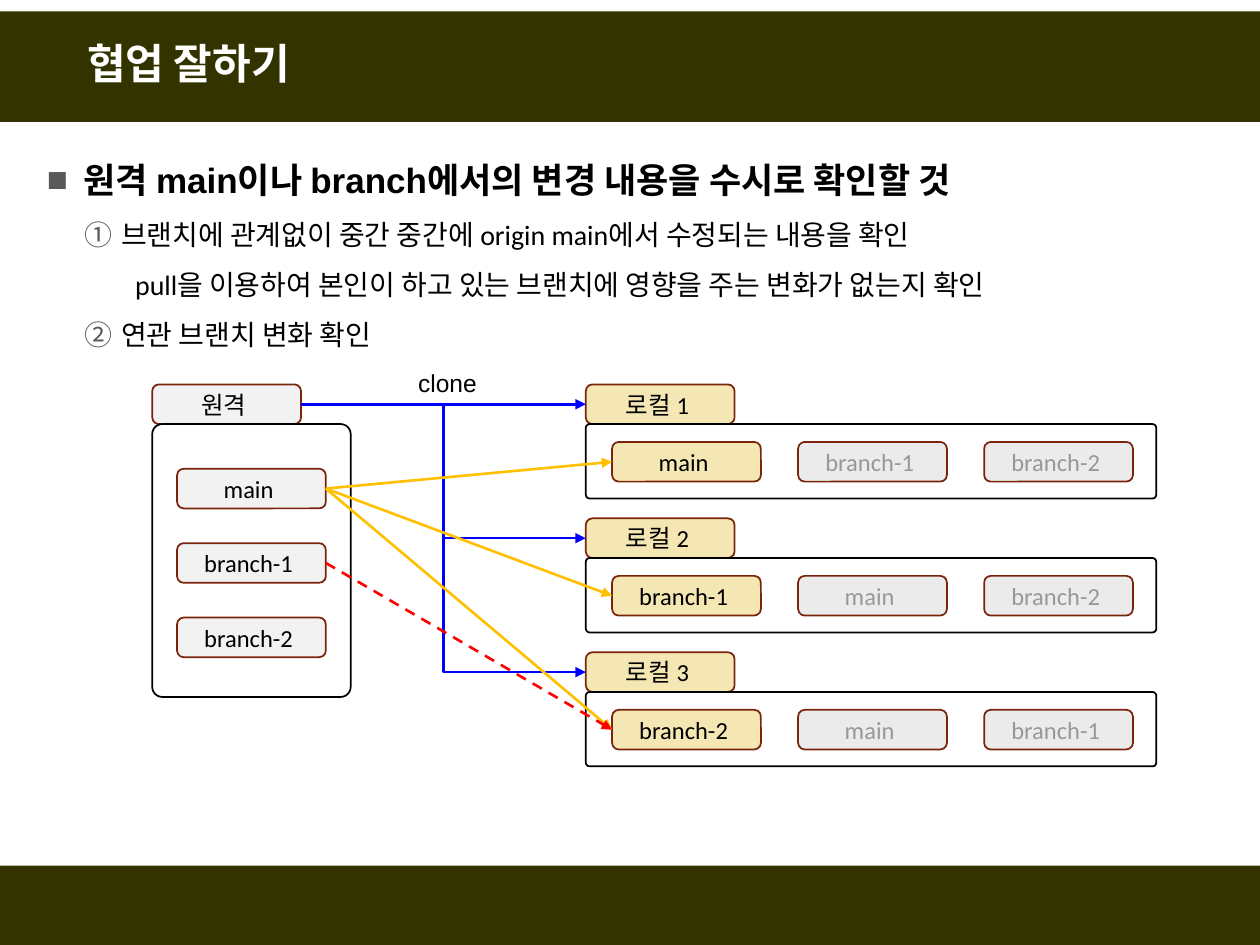
from lxml import etree
from pptx import Presentation
from pptx.dml.color import RGBColor
from pptx.enum import dml, shapes, text
from pptx.oxml.ns import qn
from pptx.util import Cm, Pt

OLIVE = RGBColor(0x33, 0x33, 0x00)
WHITE = RGBColor(0xFF, 0xFF, 0xFF)
BLACK = RGBColor(0x00, 0x00, 0x00)
CREAM = RGBColor(0xF5, 0xE7, 0xB4)
PALE = RGBColor(0xF2, 0xF2, 0xF2)
DIM = RGBColor(0xEB, 0xEB, 0xEB)
GREY = RGBColor(0x98, 0x98, 0x98)
RUST = RGBColor(0x7A, 0x24, 0x0B)
BLUE = RGBColor(0x00, 0x00, 0xFF)
GOLD = RGBColor(0xFF, 0xC0, 0x00)
RED = RGBColor(0xFF, 0x00, 0x00)

TAG_W, TAG_H = 3, 0.8  # cm, every label box


def place(shape, x, y, w, h):
    shape.left, shape.top, shape.width, shape.height = Cm(x), Cm(y), Cm(w), Cm(h)


def write(para, words, size, face="Calibri", color=BLACK, bold=False):
    run = para.add_run()
    run.text = words
    font = run.font
    font.size, font.name, font.bold = Pt(size), face, bold
    font.color.rgb = color


def block(slide, kind, x, y, w, h, fill=None, line=None):
    shape = slide.shapes.add_shape(kind, Cm(x), Cm(y), Cm(w), Cm(h))
    shape.shadow.inherit = False
    if fill is None:
        shape.fill.background()
    else:
        shape.fill.solid()
        shape.fill.fore_color.rgb = fill
    if line is None:
        shape.line.fill.background()
    else:
        shape.line.color.rgb = line
        shape.line.width = Pt(1)
    return shape


def tag(slide, x, y, words, fill, color=BLACK):
    shape = block(slide, shapes.MSO_SHAPE.ROUNDED_RECTANGLE,
                  x, y, TAG_W, TAG_H, fill, RUST)
    frame = shape.text_frame
    frame.vertical_anchor = text.MSO_ANCHOR.MIDDLE
    para = frame.paragraphs[0]
    para.alignment = text.PP_ALIGN.CENTER
    write(para, words + " ", 14, color=color)
    return shape


def panel(slide, x, y, w, h):
    shape = block(slide, shapes.MSO_SHAPE.ROUNDED_RECTANGLE, x, y, w, h, line=BLACK)
    shape.adjustments[0] = 0.05


def bar(slide, y, h):
    shape = block(slide, shapes.MSO_SHAPE.RECTANGLE, 0, y, 25.4, h, OLIVE)
    tree = shape.element.getparent()
    tree.insert(2, shape.element)  # behind the placeholders


def link(slide, kind, start, end, color, dash=False):
    """Arrow from the right side of one box to the left side of another."""
    line = slide.shapes.add_connector(kind, 0, 0, 0, 0)
    line.begin_connect(start, 3)
    line.end_connect(end, 1)
    line.line.color.rgb = color
    line.line.width = Pt(1.5)
    if dash:
        line.line.dash_style = dml.MSO_LINE.DASH
    etree.SubElement(line.line._get_or_add_ln(), qn("a:tailEnd"), type="triangle")
    etree.SubElement(line.element.spPr, qn("a:effectLst"))


def bullet(para, left, hang, mark=None, start=1):
    """Set the indent in cm; mark is a character, 'number' or None."""
    props = para._p.get_or_add_pPr()
    props.set("marL", str(Cm(left)))
    props.set("indent", str(-Cm(hang)))
    if mark is None:
        etree.SubElement(props, qn("a:buNone"))
        return
    tint = etree.SubElement(props, qn("a:buClr"))
    etree.SubElement(tint, qn("a:srgbClr"), val="595959")
    if mark == "number":
        etree.SubElement(props, qn("a:buFont"), typeface="+mj-lt")
        etree.SubElement(props, qn("a:buAutoNum"),
                         type="circleNumDbPlain", startAt=str(start))
    else:
        etree.SubElement(props, qn("a:buFont"), typeface="Arial")
        etree.SubElement(props, qn("a:buChar"), char=mark)


def head(slide, x, y, w, h):
    title = slide.shapes.title
    place(title, x, y, w, h)
    frame = title.text_frame
    frame.vertical_anchor = text.MSO_ANCHOR.MIDDLE
    frame.auto_size = text.MSO_AUTO_SIZE.NONE
    para = frame.paragraphs[0]
    para.alignment = text.PP_ALIGN.LEFT
    para.line_spacing = 0.9
    write(para, "협업 잘하기", 24, color=WHITE, bold=True)


def points(slide, x, y, w, h):
    body = slide.placeholders[1]
    place(body, x, y, w, h)
    frame = body.text_frame
    frame.margin_top = frame.margin_bottom = 0
    frame.auto_size = text.MSO_AUTO_SIZE.NONE
    rows = [
        ("원격 main이나 branch에서의 변경 내용을 수시로 확인할 것", 0.74, 0.74, "■", 1),
        ("브랜치에 관계없이 중간 중간에 origin main에서 수정되는 내용을 확인",
         1.5, 0.74, "number", 1),
        ("pull을 이용하여 본인이 하고 있는 브랜치에 영향을 주는 변화가 없는지 확인",
         1.78, 0, None, 1),
        ("연관 브랜치 변화 확인", 1.5, 0.74, "number", 2),
    ]
    for i, (words, left, hang, mark, start) in enumerate(rows):
        para = frame.add_paragraph() if i else frame.paragraphs[0]
        para.level = min(i, 1)
        para.line_spacing = 1.5
        para.space_before = Pt(0)
        bullet(para, left, hang, mark, start)
        if i:
            write(para, words, 16)
        else:
            write(para, words, 20, "Arial", bold=True)


def remote(slide, x, y):
    top = tag(slide, x, y, "원격", PALE)
    panel(slide, x, y + TAG_H, 4, 5.5)
    names = ("main", "branch-1", "branch-2")
    kids = [tag(slide, x + 0.5, y + 1.7 + 1.5 * i, name, PALE)
            for i, name in enumerate(names)]
    return top, kids


def local(slide, x, y, label, names):
    """One local copy; the first name is the branch in use."""
    top = tag(slide, x, y, label, CREAM)
    panel(slide, x, y + TAG_H, 11.5, 1.5)
    kids = [tag(slide, x + 0.53 + 3.75 * i, y + 1.16, name,
                DIM if i else CREAM, GREY if i else BLACK)
            for i, name in enumerate(names)]
    return top, kids[0]


def note(slide, x, y, w, h):
    box = slide.shapes.add_textbox(Cm(x), Cm(y), Cm(w), Cm(h))
    box.text_frame.word_wrap = False
    write(box.text_frame.paragraphs[0], "clone", 14, "Arial")


def main():
    deck = Presentation()
    deck.slide_width, deck.slide_height = Cm(25.4), Cm(19.05)
    slide = deck.slides.add_slide(deck.slide_layouts[1])

    # Bands, title and list
    bar(slide, 0.23, 2.23)
    bar(slide, 17.45, 1.6)
    head(slide, 1.5, 0.53, 20.2, 1.6)
    points(slide, 0.69, 2.77, 24, 4.67)

    # Remote and the three local copies
    origin, heads = remote(slide, 3.07, 7.75)
    rows = (("main", "branch-1", "branch-2"),
            ("branch-1", "main", "branch-2"),
            ("branch-2", "main", "branch-1"))
    copies = [local(slide, 11.81, 7.75 + 2.7 * i, f"로컬 {i + 1}", names)
              for i, names in enumerate(rows)]
    note(slide, 8.18, 7.29, 1.73, 0.86)

    # Clone arrows, then branch arrows
    kinds = shapes.MSO_CONNECTOR
    for i, (top, _) in enumerate(copies):
        link(slide, kinds.ELBOW if i else kinds.STRAIGHT, origin, top, BLUE)
    for _, used in copies:
        link(slide, kinds.STRAIGHT, heads[0], used, GOLD)
    link(slide, kinds.STRAIGHT, heads[1], copies[2][1], RED, dash=True)

    deck.save("out.pptx")


if __name__ == "__main__":
    main()
